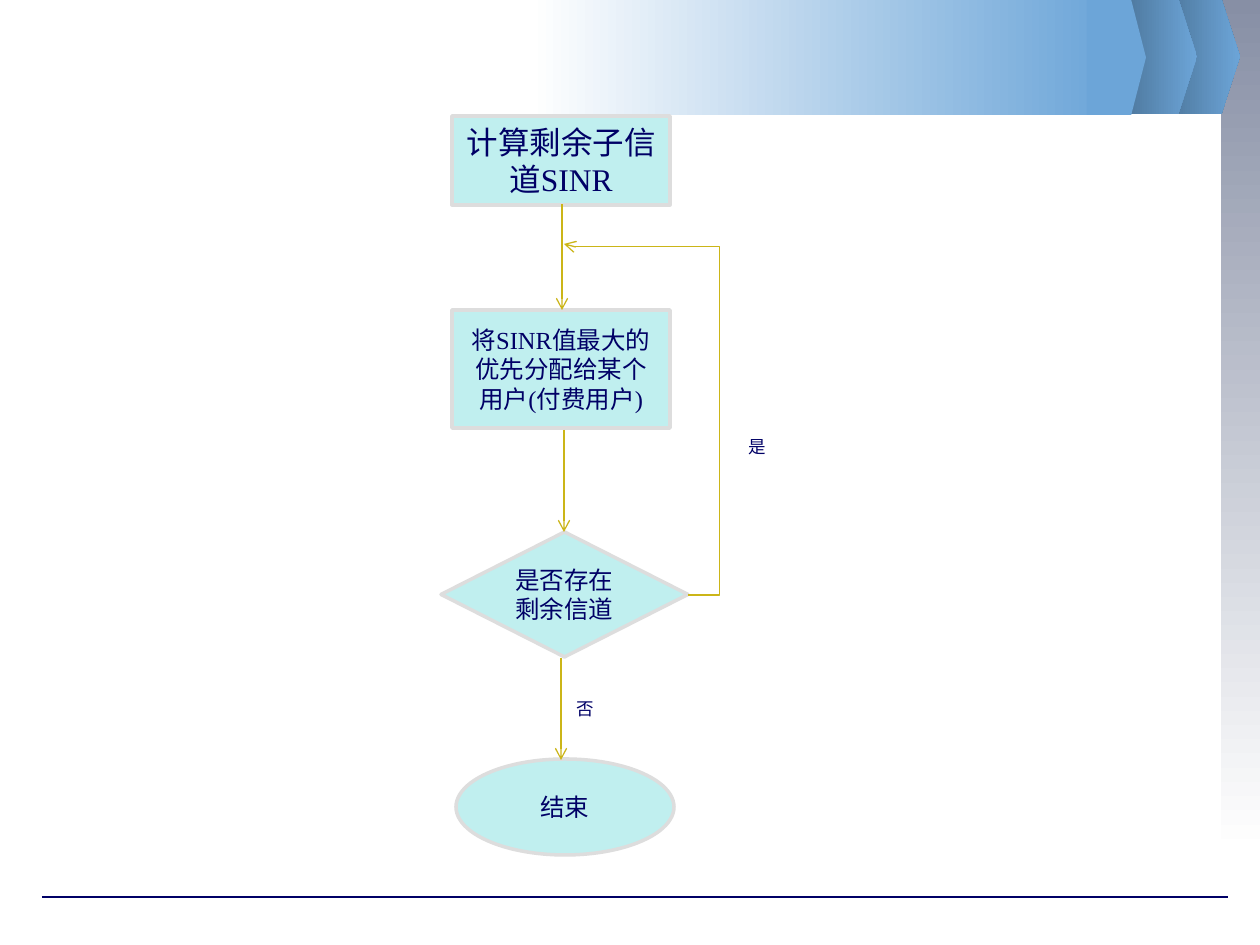
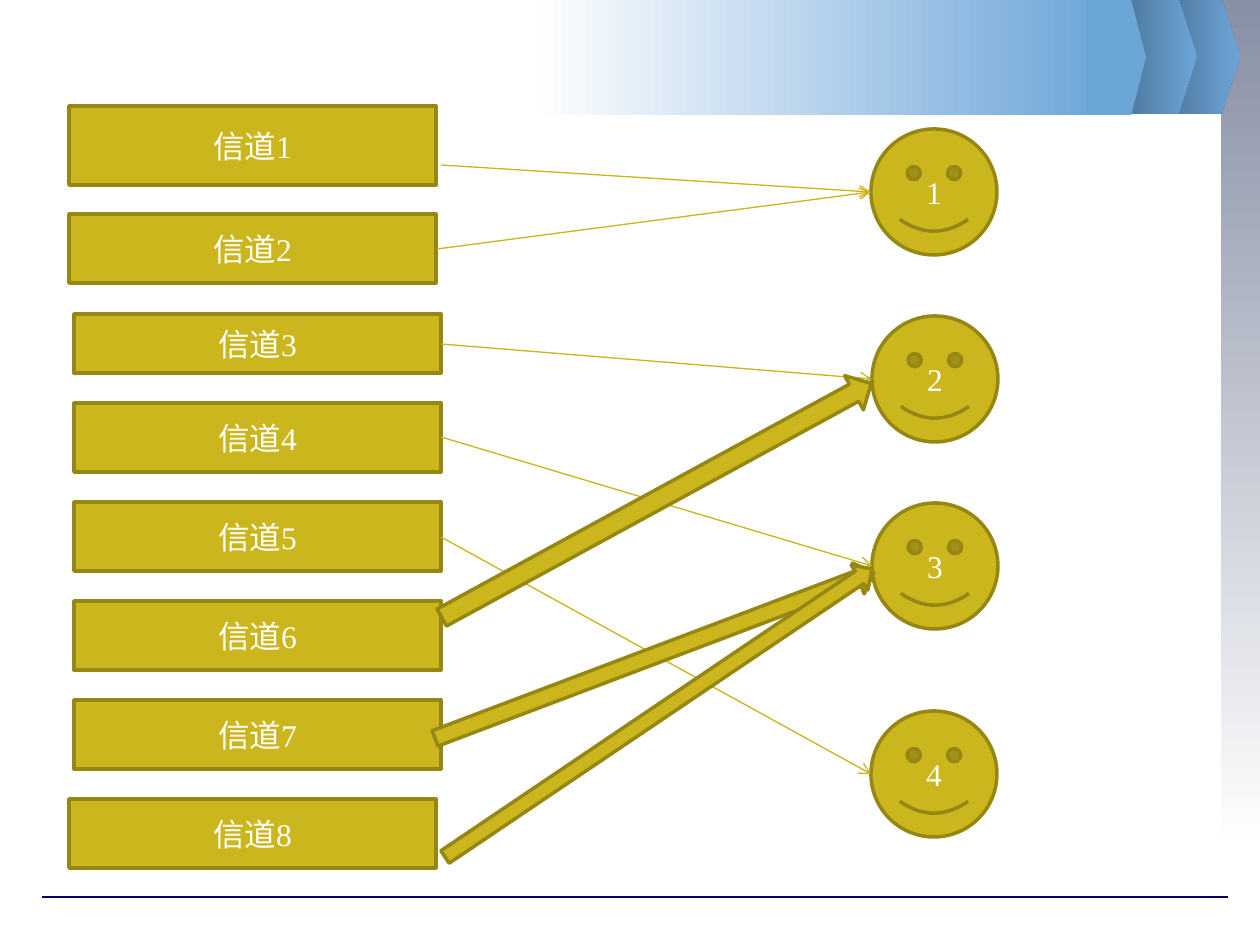
from lxml import etree
from pptx import Presentation
from pptx import util as u
from pptx.dml.color import RGBColor
from pptx.enum import shapes, text
from pptx.oxml import ns

SHAPE = shapes.MSO_SHAPE
LINK = shapes.MSO_CONNECTOR
COLORS = {
    "navy": "000066", "white": "FFFFFF", "slate": "878FA5",
    "sky": "6CA5D8", "steel": "4D769B",
    "aqua": "C0EFEF", "silver": "DDDDDD",
    "gold": "CBB61D", "bronze": "968715", "link": "CBB518",
}
SERIF, SANS = "Times New Roman", "Arial"


def px(length):
    return u.Emu(round(length * 914400 / 126))


def rgb(name):
    return RGBColor.from_string(COLORS[name])


class Deck:
    """Holds the deck style and the slide being drawn."""

    def __init__(self):
        self.prs = Presentation()
        self.prs.slide_width, self.prs.slide_height = px(1260), px(945)
        self.slide = None

    def new_slide(self):
        self.slide = self.prs.slides.add_slide(self.prs.slide_layouts[6])
        self.panel((1221, 0, 39, 853), ("slate", "white"), angle=270)
        self.connect((42, 897), (1228, 897), "navy", arrow=False)
        for left in (1166, 1123):
            self.panel((left, -1, 74, 115), ("steel", "sky"), SHAPE.PENTAGON)
        self.panel((530, 0, 580, 115), ("white", "sky"))
        self.panel((1087, 0, 59, 115), ("sky", "sky"), SHAPE.PENTAGON)

    def shape(self, kind, box):
        item = self.slide.shapes.add_shape(kind, *map(px, box))
        item.shadow.inherit = False
        return item

    def panel(self, box, ends, kind=SHAPE.RECTANGLE, angle=0):
        panel = self.shape(kind, box)
        if kind == SHAPE.PENTAGON:
            panel.adjustments[0] = 0.25
        panel.line.fill.background()
        panel.fill.gradient()
        panel.fill.gradient_angle = angle
        for stop, color in zip(panel.fill.gradient_stops, ends):
            stop.color.rgb = rgb(color)

    def node(self, kind, box, fill, edge, words="", size=18, ink="white", turn=0):
        node = self.shape(kind, box)
        node.rotation = turn
        node.fill.solid()
        node.fill.fore_color.rgb = rgb(fill)
        node.line.color.rgb = rgb(edge)
        node.line.width = u.Pt(2)
        if words:
            node.text_frame.vertical_anchor = text.MSO_ANCHOR.MIDDLE
            self.add_words(node.text_frame, words, size, SERIF, ink, text.PP_ALIGN.CENTER)

    def label(self, box, words):
        frame = self.slide.shapes.add_textbox(*map(px, box)).text_frame
        frame.word_wrap = False
        frame.auto_size = text.MSO_AUTO_SIZE.SHAPE_TO_FIT_TEXT
        self.add_words(frame, words, 10, SANS, "navy", text.PP_ALIGN.LEFT)

    def add_words(self, frame, words, size, font, ink, align):
        paragraph = frame.paragraphs[0]
        paragraph.alignment = align
        run = paragraph.add_run()
        run.text = words
        run.font.size, run.font.name = u.Pt(size), font
        run.font.color.rgb = rgb(ink)

    def connect(self, start, end, color="link", arrow=True, bends=()):
        link = self.slide.shapes.add_connector(
            LINK.ELBOW if bends else LINK.STRAIGHT, *map(px, start + end))
        link.line.color.rgb = rgb(color)
        link.line.width = u.Pt(0.75)
        properties = link._element.spPr
        if arrow:
            etree.SubElement(properties.find(ns.qn("a:ln")), ns.qn("a:tailEnd"), type="arrow")
        if bends:
            geometry = properties.find(ns.qn("a:prstGeom"))
            geometry.set("prst", "bentConnector4")
            guides = geometry.find(ns.qn("a:avLst"))
            for number, bend in enumerate(bends, 1):
                etree.SubElement(guides, ns.qn("a:gd"), name=f"adj{number}", fmla=f"val {bend}")
        etree.SubElement(properties, ns.qn("a:effectLst"))


def allocation_flow(deck):
    deck.new_slide()
    steps = [
        (SHAPE.RECTANGLE, (452, 116, 218, 89), "计算剩余子信道SINR", 18),
        (SHAPE.RECTANGLE, (452, 310, 218, 118), "将SINR值最大的优先分配给某个用户(付费用户)", 14),
        (SHAPE.FLOWCHART_DECISION, (441, 532, 247, 125), "是否存在剩余信道", 14),
        (SHAPE.OVAL, (456, 759, 218, 96), "结束", 14),
    ]
    for kind, box, words, size in steps:
        deck.node(kind, box, "aqua", "silver", words, size, "navy")
    for x, top, bottom in [(562, 204, 310), (564, 430, 532), (561, 658, 760)]:
        deck.connect((x, top), (x, bottom))
    deck.connect((688, 595), (564, 244), bends=(-25600, 99300))
    deck.label((736, 430, 43, 34), "是")
    deck.label((564, 692, 43, 34), "否")


def channel_matching(deck):
    deck.new_slide()
    tops = [106, 214, 314, *range(403, 800, 99)]
    heights = {1: 79, 3: 59}
    for channel, top in enumerate(tops, 1):
        left = 69 if channel in (1, 2, 8) else 74
        box = (left, top, 367, heights.get(channel, 69))
        deck.node(SHAPE.RECTANGLE, box, "gold", "bronze", f"信道{channel}")

    users = {1: (871, 129), 2: (872, 316), 3: (872, 503), 4: (871, 711)}
    for user, corner in users.items():
        deck.node(SHAPE.SMILEY_FACE, (*corner, 126, 126), "gold", "bronze", str(user))

    first_choices = [((441, 165), 1), ((441, 344), 2), ((441, 437), 3),
                     ((437, 249), 1), ((441, 537), 4)]
    for start, user in first_choices:
        left, top = users[user]
        deck.connect(start, (left, top + 63))

    extra_channels = [((412, 481, 489, 39), 331.4), ((420, 639, 469, 33), 339.3),
                      ((401, 698, 515, 30), 326)]
    for box, turn in extra_channels:
        deck.node(SHAPE.RIGHT_ARROW, box, "gold", "bronze", turn=turn)


def main():
    deck = Deck()
    allocation_flow(deck)
    channel_matching(deck)
    deck.prs.save("out.pptx")


if __name__ == "__main__":
    main()
